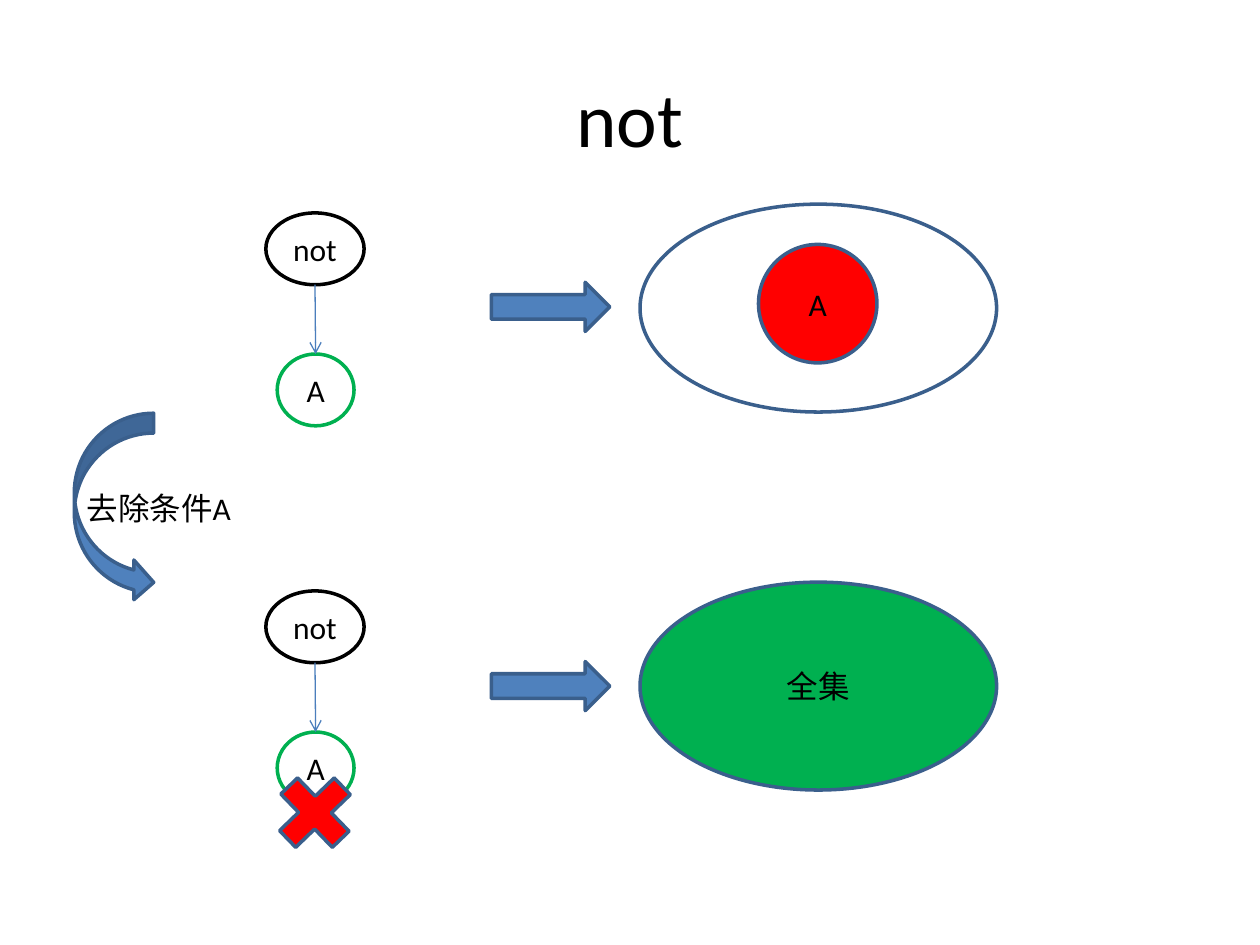
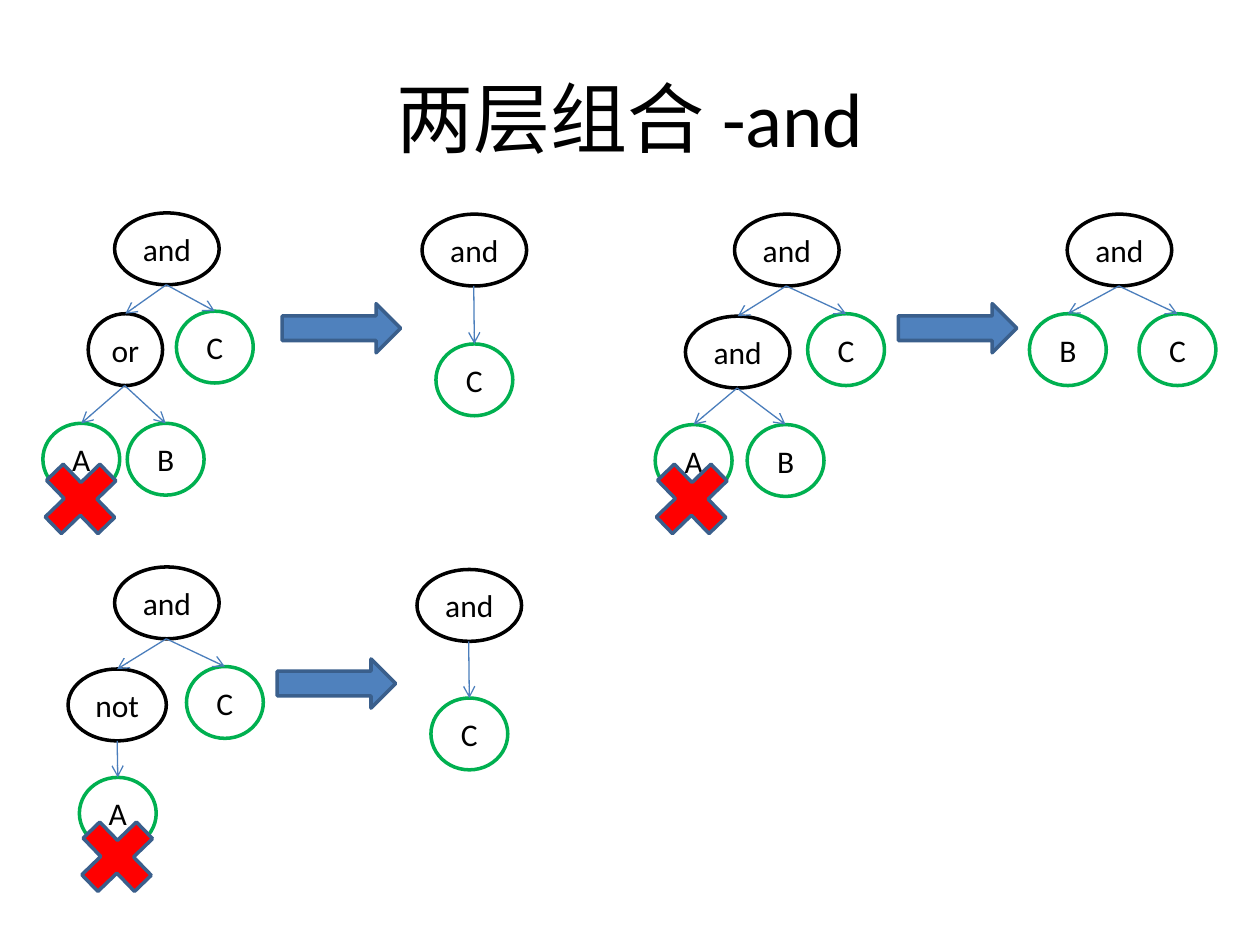
from lxml.etree import SubElement
from pptx import Presentation
from pptx.dml.color import RGBColor
from pptx.enum.shapes import MSO_CONNECTOR, MSO_SHAPE as Shape
from pptx.enum.text import MSO_ANCHOR as Anchor, MSO_AUTO_SIZE as AutoSize, PP_ALIGN as Align
from pptx.oxml.ns import qn
from pptx.util import Emu, Pt

SCALE = 9144  # EMU per px, 100 px to the inch
FONT = "Calibri"
BLACK, GREEN, RED = "000000", "00B050", "FF0000"
BLUE, EDGE, LINK = "4F81BD", "3A5F8C", "4B7EBC"

# Operators have a black outline and their own width; all other nodes are leaves
OPERATOR_WIDTHS = {"and": 83, "or": 59, "not": 78}
LEAF_WIDTH, NODE_HEIGHT = 61, 57
ARROW_SIZE, CROSS_SIZE = (94, 39), (80, 82)

# Tree node: label, centre x, top, children
# Set: label, (left, top, width, height), fill
SLIDES = [
    {
        "title": "not",
        "trees": [
            ("not", 250, 169, [("A", 250, 281, [])]),
            ("not", 250, 469, [("A", 250, 581, [])]),
        ],
        "arrows": [(390, 224), (390, 525)],
        "crosses": [(210, 604)],
        "sets": [
            ("", (508, 162, 283, 165), None),
            ("A", (602, 194, 94, 94), RED),
            ("全集", (508, 462, 283, 165), GREEN),
        ],
        "step": ("去除条件A", (59, 328, 63, 150), (59, 383, 136, 40)),
    },
    {
        "title": "两层组合 -and",
        "trees": [
            ("and", 132, 169, [
                ("or", 99, 249, [("A", 64, 336, []), ("B", 131, 336, [])]),
                ("C", 170, 247, []),
            ]),
            ("and", 376, 170, [("C", 376, 273, [])]),
            ("and", 624, 170, [
                ("and", 585, 251, [("A", 550, 337, []), ("B", 623, 337, [])]),
                ("C", 671, 249, []),
            ]),
            ("and", 888, 170, [("B", 847, 249, []), ("C", 934, 249, [])]),
            ("and", 132, 450, [
                ("not", 93, 531, [("A", 93, 617, [])]),
                ("C", 178, 529, []),
            ]),
            ("and", 372, 452, [("C", 372, 554, [])]),
        ],
        "arrows": [(224, 241), (713, 241), (220, 523)],
        "crosses": [(24, 355), (509, 355), (53, 639)],
    },
]


def px(*lengths):
    return [Emu(length * SCALE) for length in lengths]


def color(code):
    return RGBColor.from_string(code)


def write(box, text, size=18, align=Align.CENTER, anchor=Anchor.MIDDLE, wrap=True):
    frame = box.text_frame
    frame.word_wrap = wrap
    frame.vertical_anchor = anchor
    para = frame.paragraphs[0]
    para.alignment = align
    span = para.add_run()
    span.text = text
    span.font.name, span.font.size = FONT, Pt(size)
    span.font.color.rgb = color(BLACK)


def add_figure(page, kind, bounds, fill=None, line=EDGE):
    figure = page.shapes.add_shape(kind, *px(*bounds))
    figure.shadow.inherit = False
    if fill:
        figure.fill.solid()
        figure.fill.fore_color.rgb = color(fill)
    else:
        figure.fill.background()
    figure.line.color.rgb = color(line)
    figure.line.width = Pt(2)
    return figure


def add_link(page, start, child):
    link = page.shapes.add_connector(MSO_CONNECTOR.STRAIGHT, *px(*start, *start))
    link.end_connect(child, 0)
    link.line.color.rgb = color(LINK)
    link.line.width = Pt(0.75)
    SubElement(link.line._get_or_add_ln(), qn("a:tailEnd"), type="arrow")
    SubElement(link._element.spPr, qn("a:effectLst"))


def add_tree(page, label, center, top, children):
    is_operator = label in OPERATOR_WIDTHS
    width = OPERATOR_WIDTHS.get(label, LEAF_WIDTH)
    node = add_figure(page, Shape.OVAL, (center - width // 2, top, width, NODE_HEIGHT),
                      line=BLACK if is_operator else GREEN)
    write(node, label, wrap=not is_operator)
    node.text_frame.auto_size = AutoSize.SHAPE_TO_FIT_TEXT
    for child in children:
        add_link(page, (center, top + NODE_HEIGHT), add_tree(page, *child))
    return node


def add_step(page, label, arrow_bounds, label_bounds):
    add_figure(page, Shape.CURVED_RIGHT_ARROW, arrow_bounds, BLUE)
    box = page.shapes.add_textbox(*px(*label_bounds))
    write(box, label, align=Align.LEFT, anchor=Anchor.TOP, wrap=False)
    box.text_frame.auto_size = AutoSize.SHAPE_TO_FIT_TEXT


def build_page(deck, content):
    page = deck.slides.add_slide(deck.slide_layouts[6])
    write(page.shapes.add_textbox(*px(50, 30, 900, 125)), content["title"], size=44)

    # Condition trees and what they turn into
    for tree in content["trees"]:
        add_tree(page, *tree)
    for corner in content["arrows"]:
        add_figure(page, Shape.RIGHT_ARROW, corner + ARROW_SIZE, BLUE)

    # Result sets
    for label, bounds, fill in content.get("sets", []):
        result = add_figure(page, Shape.OVAL, bounds, fill)
        if label:
            write(result, label)
    if "step" in content:
        add_step(page, *content["step"])

    # Crosses over the removed conditions
    for corner in content["crosses"]:
        cross = add_figure(page, Shape.MATH_PLUS, corner + CROSS_SIZE, RED)
        cross.adjustments[0] = 0.23
        cross.rotation = 46


def main():
    deck = Presentation()
    deck.slide_width, deck.slide_height = px(1000, 750)
    for content in SLIDES:
        build_page(deck, content)
    deck.save("out.pptx")


if __name__ == "__main__":
    main()
